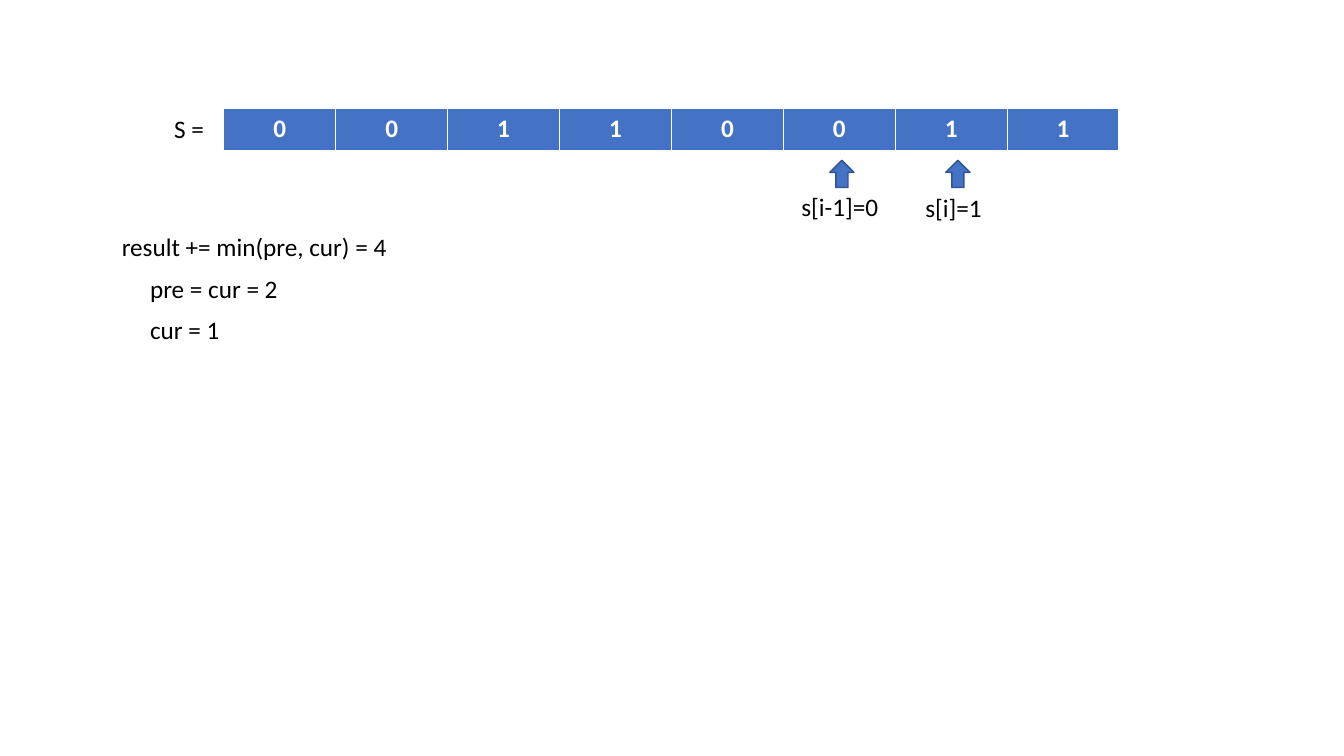
"""Build the binary string slide with its two index pointers."""
from typing import Any, NamedTuple

from pptx import Presentation
from pptx import util as u
from pptx.dml.color import RGBColor
from pptx.enum import shapes, text

COLORS = {"cell": "4472C4", "outline": "325491", "ink": "000000", "digit": "FFFFFF"}
DIGITS = "00110011"
CELL_WIDTH, ROW_HEIGHT = 1.11, 0.41
ROW_LEFT, ROW_TOP = 2.22, 1.08


class Label(NamedTuple):
    wording: str
    left: float
    top: float
    width: float


class Pointer(NamedTuple):
    arrow_left: float
    label: Label


LABELS = [
    Label("S =", 1.63, ROW_TOP, 0.8),
    Label("result += min(pre, cur) = 4", 1.11, 2.25, 3.74),
    Label("pre = cur = 2", 1.39, 2.66, 1.9),
    Label("cur = 1", 1.39, 3.07, 1.18),
]
POINTERS = [
    Pointer(8.23, Label("s[i-1]=0", 7.85, 1.85, 1.9)),
    Pointer(9.38, Label("s[i]=1", 9.08, 1.86, 1.9)),
]


def color(name: str) -> RGBColor:
    return RGBColor.from_string(COLORS[name])


def write(paragraph: Any, wording: str, ink: str, bold: bool = False) -> None:
    run = paragraph.add_run()
    run.text = wording
    font_format = {"name": "Calibri", "size": u.Pt(18), "bold": bold}
    for attribute, value in font_format.items():
        setattr(run.font, attribute, value)
    run.font.color.rgb = color(ink)


def draw_label(slide: Any, label: Label) -> None:
    box = slide.shapes.add_textbox(
        u.Inches(label.left), u.Inches(label.top), u.Inches(label.width), u.Inches(0.4))
    frame_format = {"word_wrap": True, "auto_size": text.MSO_AUTO_SIZE.SHAPE_TO_FIT_TEXT}
    for attribute, value in frame_format.items():
        setattr(box.text_frame, attribute, value)
    write(box.text_frame.paragraphs[0], label.wording, "ink")


def draw_pointer(slide: Any, pointer: Pointer) -> None:
    arrow = slide.shapes.add_shape(
        shapes.MSO_SHAPE.DOWN_ARROW, u.Inches(pointer.arrow_left), u.Inches(1.59),
        u.Inches(0.24), u.Inches(0.27))
    arrow.rotation = 180
    arrow.shadow.inherit = False
    arrow.fill.solid()
    arrow.fill.fore_color.rgb = color("cell")
    arrow.line.color.rgb = color("outline")
    arrow.line.width = u.Pt(1)
    draw_label(slide, pointer.label)


def draw_digits(slide: Any) -> None:
    table = slide.shapes.add_table(
        1, len(DIGITS), u.Inches(ROW_LEFT), u.Inches(ROW_TOP),
        u.Inches(CELL_WIDTH * len(DIGITS)), u.Inches(ROW_HEIGHT)).table
    for column, digit in enumerate(DIGITS):
        table.columns[column].width = u.Inches(CELL_WIDTH)
        cell = table.cell(0, column)
        cell.fill.solid()
        cell.fill.fore_color.rgb = color("cell")
        paragraph = cell.text_frame.paragraphs[0]
        paragraph.alignment = text.PP_ALIGN.CENTER
        write(paragraph, digit, "digit", bold=True)


def main() -> None:
    presentation = Presentation()
    presentation.slide_width = u.Inches(13.33)
    presentation.slide_height = u.Inches(7.5)
    slide = presentation.slides.add_slide(presentation.slide_layouts[6])
    draw_digits(slide)
    for label in LABELS:
        draw_label(slide, label)
    for pointer in POINTERS:
        draw_pointer(slide, pointer)
    presentation.save("out.pptx")


main()
